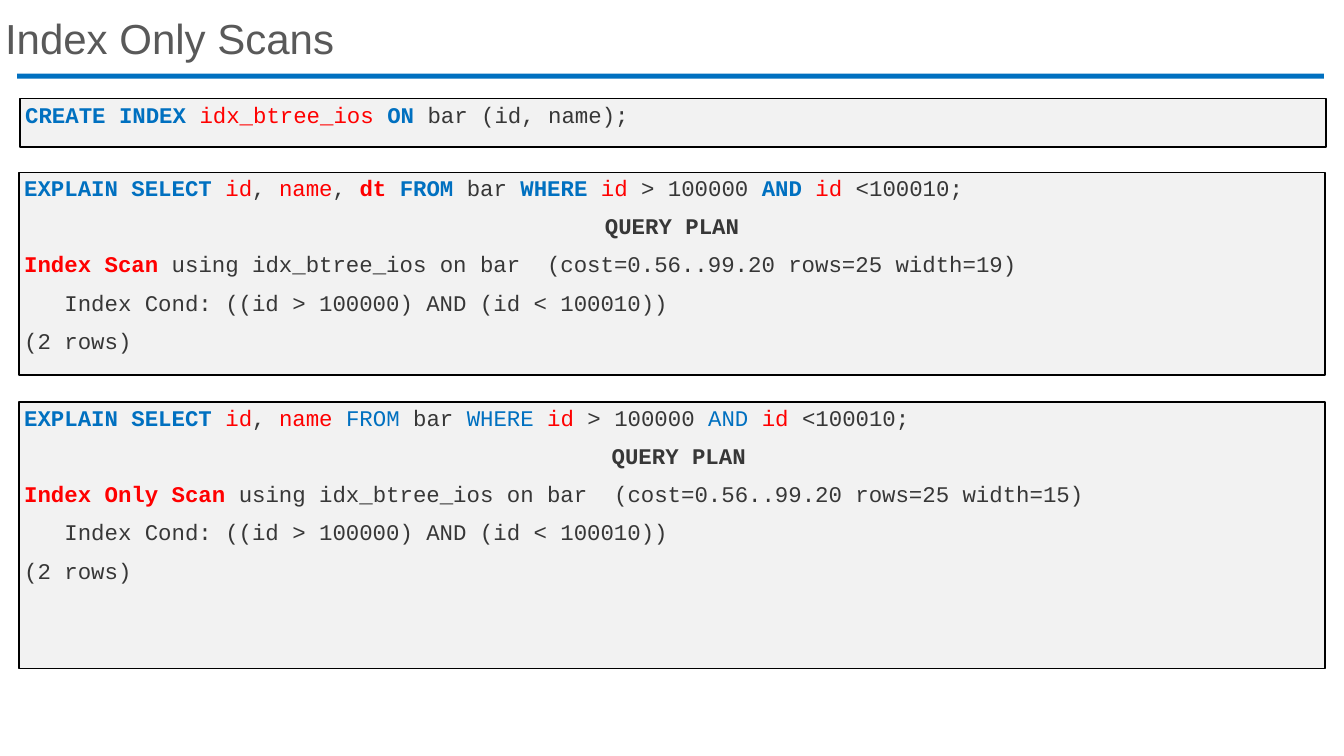
"""Builds the slide comparing an index scan with an index only scan."""
from pptx import Presentation
from pptx.dml.color import RGBColor
from pptx.enum.shapes import MSO_SHAPE as SHAPE
from pptx.enum.text import MSO_ANCHOR as ANCHOR, PP_ALIGN as ALIGN
from pptx.util import Inches, Pt

COLORS = {"title": "595959", "blue": "0070C0", "red": "FF0000",
          "text": "373737", "panel": "F2F2F2", "border": "000000"}
KEYWORD, WORD = ("blue", True), ("blue", False)
STRONG, NAME = ("red", True), ("red", False)
HEADING, PLAIN = ("text", True), ("text", False)

CREATE = [[("CREATE INDEX ", KEYWORD), ("idx_btree_ios ", NAME),
           ("ON", KEYWORD), (" bar (id, name);", PLAIN)]]
PLAN_END = [[("   Index Cond: ((id > 100000) AND (id < 100010))", PLAIN)],
            [("(2 rows)", PLAIN)]]


def color(key):
    return RGBColor.from_string(COLORS[key])


def explain(columns, keyword, heading, scan, width):
    """Return the lines of a query and its plan."""
    query = [("EXPLAIN SELECT ", KEYWORD), *columns, ("FROM", keyword),
             (" bar ", PLAIN), ("WHERE ", keyword), ("id", NAME),
             (" > 100000 ", PLAIN), ("AND ", keyword), ("id", NAME),
             (" <100010;", PLAIN)]
    cost = f" using idx_btree_ios on bar  (cost=0.56..99.20 rows=25 width={width})"
    return [query, [(heading, HEADING)],
            [(scan, STRONG), (cost, PLAIN)], *PLAN_END]


def set_frame(tf, anchor):
    tf.word_wrap = True
    tf.vertical_anchor = anchor
    tf.margin_left = tf.margin_right = Inches(0.05)
    tf.margin_top = tf.margin_bottom = Inches(0.05)


def add_box(slide, left, top, width, height, fill):
    sp = slide.shapes.add_shape(SHAPE.RECTANGLE, Inches(left), Inches(top),
                                Inches(width), Inches(height))
    sp.shadow.inherit = False
    sp.fill.solid()
    sp.fill.fore_color.rgb = color(fill)
    sp.line.fill.background()
    return sp


def add_title(slide, text):
    title = slide.shapes.title
    title.left, title.top = Inches(0), Inches(0.15)
    title.width, title.height = Inches(12.95), Inches(0.52)
    tf = title.text_frame
    set_frame(tf, ANCHOR.MIDDLE)
    tf.text = text
    p = tf.paragraphs[0]
    p.alignment = ALIGN.LEFT
    p.line_spacing = 0.9
    font = p.runs[0].font
    font.name, font.size = "Arial", Pt(30)
    font.color.rgb = color("title")


def add_code(slide, left, top, height, lines):
    sp = add_box(slide, left, top, 12.95, height, "panel")
    sp.line.color.rgb = color("border")
    sp.line.width = Pt(1)
    tf = sp.text_frame
    set_frame(tf, ANCHOR.TOP)
    for i, line in enumerate(lines):
        p = tf.add_paragraph() if i else tf.paragraphs[0]
        p.alignment = ALIGN.CENTER if line[0][1] == HEADING else ALIGN.LEFT
        p.line_spacing = 0.9
        p.space_before = Pt(10 if i else 0)
        for text, (key, bold) in line:
            r = p.add_run()
            r.text = text
            r.font.name, r.font.size = "Courier New", Pt(16)
            r.font.bold = bold
            r.font.color.rgb = color(key)


def main():
    prs = Presentation()
    prs.slide_width, prs.slide_height = Inches(13.33), Inches(7.5)
    slide = prs.slides.add_slide(prs.slide_layouts[5])
    add_title(slide, "Index Only Scans")
    add_box(slide, 0.17, 0.73, 12.96, 0.05, "blue")

    three_columns = [("id", NAME), (", ", PLAIN), ("name", NAME),
                     (", ", PLAIN), ("dt ", STRONG)]
    two_columns = [("id", NAME), (", ", PLAIN), ("name ", NAME)]
    add_code(slide, 0.2, 0.98, 0.48, CREATE)
    add_code(slide, 0.19, 1.71, 2.01,
             explain(three_columns, KEYWORD, "QUERY PLAN", "Index Scan", 19))
    add_code(slide, 0.19, 3.99, 2.64,
             explain(two_columns, WORD, " QUERY PLAN", "Index Only Scan", 15))
    prs.save("out.pptx")


if __name__ == "__main__":
    main()
